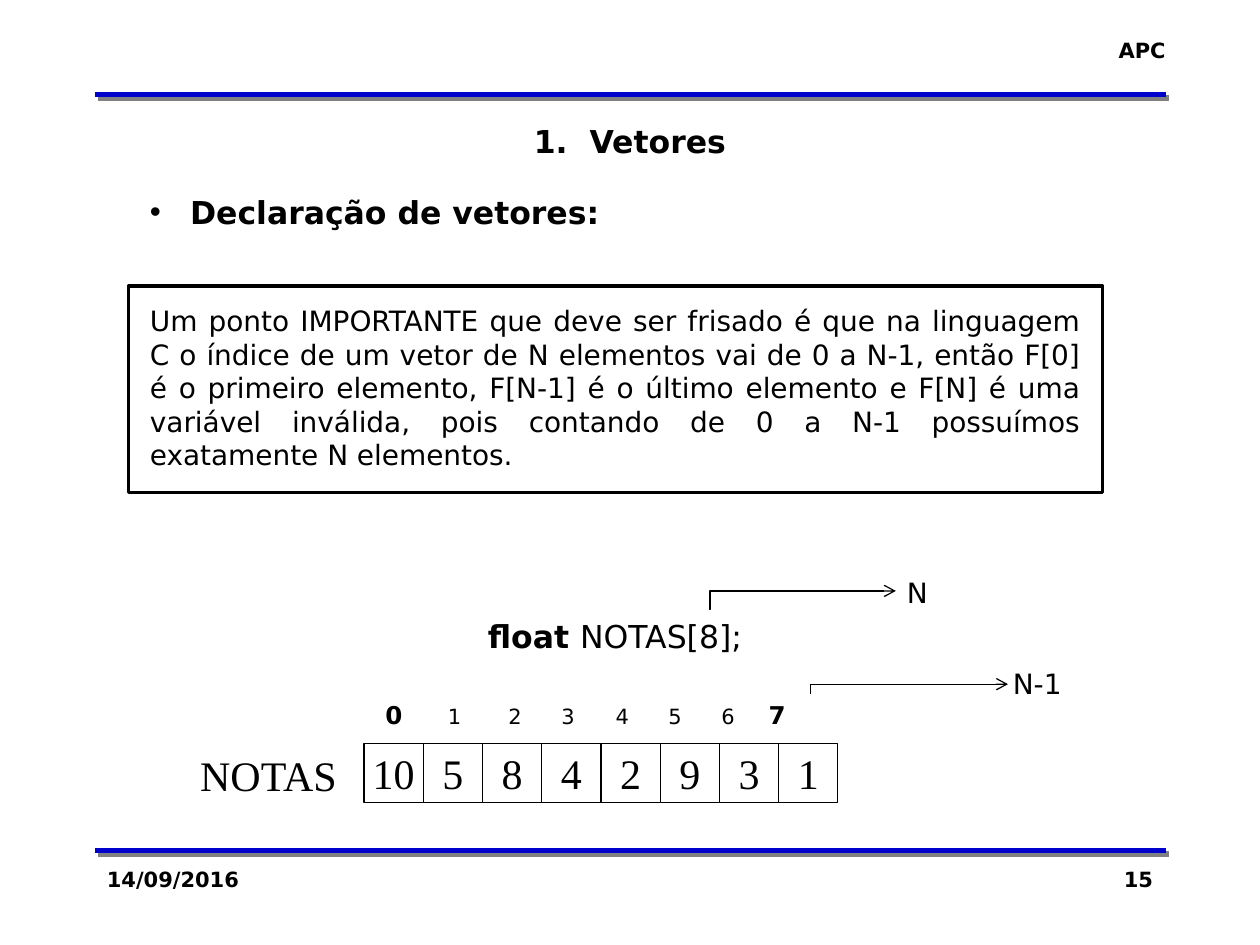
from dataclasses import dataclass
from pptx import Presentation
from pptx.dml.color import RGBColor as RGB
from pptx.enum.shapes import MSO_CONNECTOR as Link, MSO_SHAPE as Kind
from pptx.enum.text import MSO_ANCHOR as Anchor, PP_ALIGN as Align
from pptx.oxml.ns import qn
from pptx.util import Emu, Inches, Pt
from lxml.etree import SubElement as Sub


@dataclass(frozen=True)
class Theme:
    ink: RGB = RGB(0, 0, 0)
    paper: RGB = RGB(255, 255, 255)
    rule: RGB = RGB(0, 0, 0xCC)
    shade: str = "808080"
    sans: str = "DejaVu Sans"
    serif: str = "Times New Roman"
    small: int = 12
    index: int = 14
    body: int = 16
    head: int = 18
    value: int = 24


class Deck:
    def __init__(self, theme):
        self.theme = theme
        self.file = Presentation()
        self.file.slide_width = Inches(10)
        self.file.slide_height = Inches(7.5)
        self.slide = self.file.slides.add_slide(self.file.slide_layouts[6])

    def style(self, run, size, bold=False, face=None):
        font = run.font
        font.name = face or self.theme.sans
        font.size = Pt(size)
        font.bold = bold
        font.color.rgb = self.theme.ink

    def text(self, at, words, size, bold=False, align=Align.LEFT, face=None, wrap=True):
        box = self.slide.shapes.add_textbox(*map(Inches, at))
        frame = box.text_frame
        frame.word_wrap = wrap
        frame.text = words
        para = frame.paragraphs[0]
        para.alignment = align
        for run in para.runs:
            self.style(run, size, bold, face)
        return para

    def add(self, para, words, size, bold=False):
        run = para.add_run()
        run.text = words
        self.style(run, size, bold)

    def bullet(self, at, words, size, gap):
        para = self.text(at, words, size, True)
        props = para._p.get_or_add_pPr()
        props.set("marL", str(Inches(gap)))
        props.set("indent", str(-Inches(gap)))
        Sub(props, qn("a:buFont"), typeface="Arial")
        Sub(props, qn("a:buChar"), char="•")

    def tabs(self, para, stops):
        tabs = Sub(para._p.get_or_add_pPr(), qn("a:tabLst"))
        for stop in stops:
            Sub(tabs, qn("a:tab"), pos=str(Inches(stop)), algn="ctr")

    def rect(self, at, words, size, width, align=Align.CENTER, face=None,
             pad=(0, 0), anchor=Anchor.MIDDLE):
        box = self.slide.shapes.add_shape(Kind.RECTANGLE, *map(Inches, at))
        box.shadow.inherit = False
        box.fill.solid()
        box.fill.fore_color.rgb = self.theme.paper
        box.line.color.rgb = self.theme.ink
        box.line.width = Pt(width)
        frame = box.text_frame
        frame.word_wrap = True
        frame.vertical_anchor = anchor
        frame.margin_left = frame.margin_right = Inches(pad[0])
        frame.margin_top = frame.margin_bottom = Inches(pad[1])
        frame.text = words
        para = frame.paragraphs[0]
        para.alignment = align
        self.style(para.runs[0], size, face=face)

    def line(self, start, end, width=0.75, color=None, arrow=False, bend=None, shade=False):
        kind = Link.STRAIGHT if bend is None else Link.ELBOW
        line = self.slide.shapes.add_connector(kind, *map(Inches, start + end))
        line.line.color.rgb = color or self.theme.ink
        line.line.width = Pt(width)
        props = line._element.spPr
        if arrow:
            Sub(props.find(qn("a:ln")), qn("a:tailEnd"), type="arrow")
        if bend is not None:
            guides = props.find(qn("a:prstGeom")).get_or_add_avLst()
            Sub(guides, qn("a:gd"), name="adj1", fmla=f"val {bend}")
        glow = Sub(props, qn("a:effectLst"))
        if shade:
            cast = Sub(glow, qn("a:outerShdw"), dist=str(Emu(Pt(2.8))), dir="2700000",
                       algn="ctr", rotWithShape="0")
            Sub(cast, qn("a:srgbClr"), val=self.theme.shade)


def main():
    look = Theme()
    deck = Deck(look)
    for y in (6.75, 0.75):
        deck.line((0.75, y), (9.25, y), 3, look.rule, shade=True)
    deck.text((8.77, 0.25, 0.58, 0.3), "APC", look.small, True, Align.RIGHT, wrap=False)
    deck.text((0.75, 6.83, 2.08, 0.5), "14/09/2016", look.small, True)
    deck.text((7.17, 6.83, 2.08, 0.5), "15", look.small, True, Align.RIGHT)
    deck.text((0.75, 0.92, 8.5, 0.4), "1.  Vetores", look.head, True, Align.CENTER)

    deck.bullet((1.09, 1.48, 7.58, 0.4), "Declaração de vetores:", look.head, 0.32)
    note = (
        "Um ponto IMPORTANTE que deve ser frisado é que na linguagem C o índice de um "
        "vetor de N elementos vai de 0 a N-1, então F[0] é o primeiro elemento, F[N-1] é "
        "o último elemento e F[N] é uma variável inválida, pois contando de 0 a N-1 "
        "possuímos exatamente N elementos."
    )
    deck.rect((1.02, 2.27, 7.73, 1.64), note, look.body, 2, Align.JUSTIFY,
              pad=(0.17, 0.14), anchor=Anchor.TOP)
    code = deck.text((1.09, 4.85, 7.58, 0.4), "float ", look.head, True, Align.CENTER)
    deck.add(code, "NOTAS[8];", look.head)

    side = 0.47
    for i, value in enumerate((10, 5, 8, 4, 2, 9, 3, 1)):
        deck.rect((2.89 + i * side, 5.9, side, side), str(value), look.value, 0.75,
                  face=look.serif)
    deck.text((1.49, 5.9, 1.3, 0.51), "NOTAS", look.value, face=look.serif, wrap=False)

    marks = deck.text((2.96, 5.51, 3.67, 0.34), "0", look.index, True)
    deck.tabs(marks, (0.55, 1.03, 1.45, 1.88, 2.3, 2.72, 3.11))
    deck.add(marks, "\t1\t2\t3\t4\t5\t6\t", look.small)
    deck.add(marks, "7", look.index, True)

    deck.text((7.1, 4.52, 0.37, 0.37), "N", look.body, wrap=False)
    deck.line((5.63, 4.84), (7.11, 4.69), arrow=True, bend=400)
    deck.text((7.94, 5.24, 0.61, 0.37), "N-1", look.body, wrap=False)
    deck.line((6.43, 5.51), (6.43, 5.43))
    deck.line((6.43, 5.43), (8, 5.43), arrow=True)
    deck.file.save("out.pptx")


if __name__ == "__main__":
    main()
